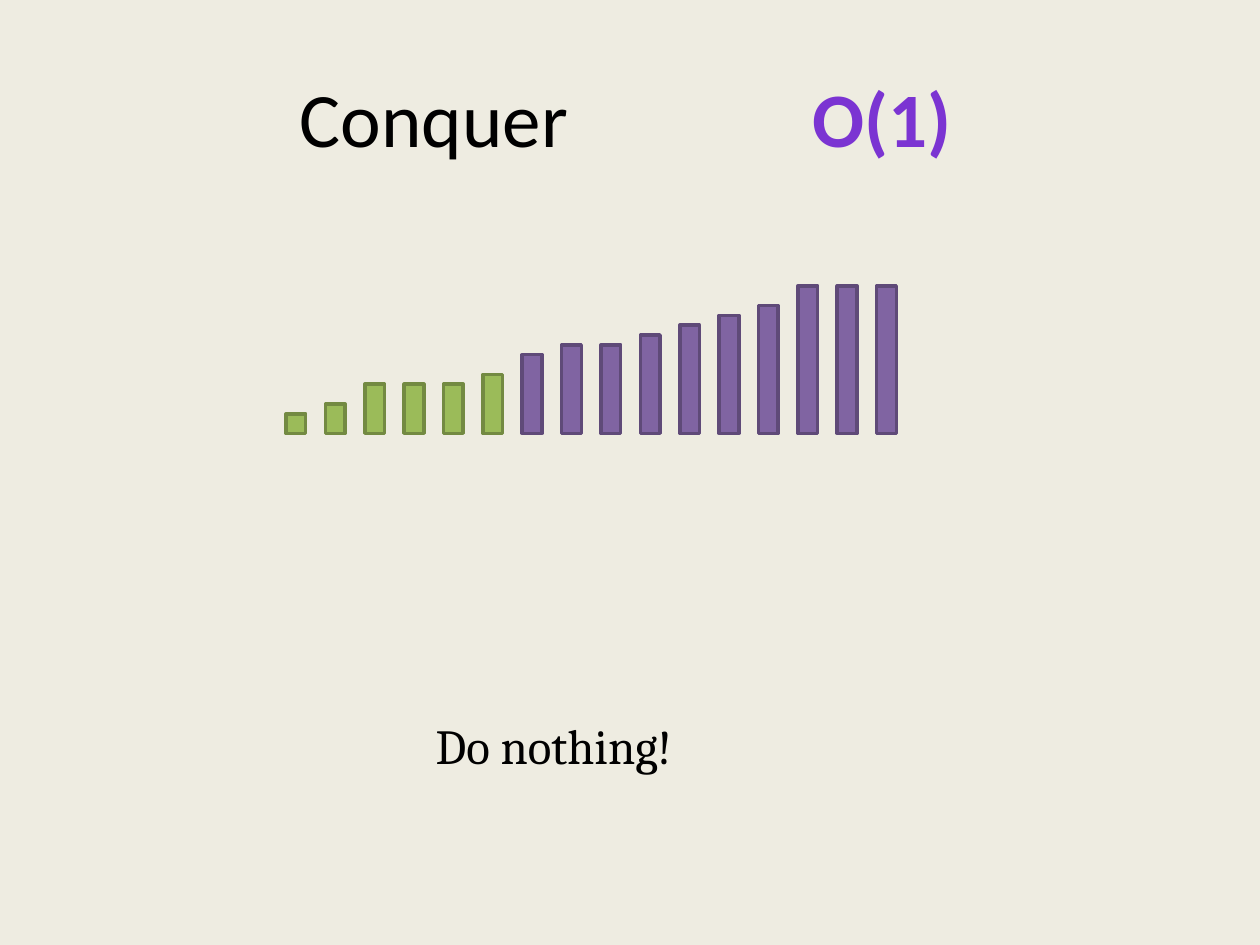
import pptx
import pptx.dml.color
import pptx.enum.shapes
import pptx.enum.text
import pptx.oxml.ns
import pptx.util
from lxml import etree

Inches = pptx.util.Inches
RGBColor = pptx.dml.color.RGBColor

BACKGROUND = RGBColor(0xEE, 0xEC, 0xE1)
BLACK = RGBColor(0x00, 0x00, 0x00)
VIOLET = RGBColor(0x7B, 0x34, 0xD2)
GREEN = RGBColor(0x9B, 0xBB, 0x59)
GREEN_EDGE = RGBColor(0x73, 0x8A, 0x42)
PURPLE = RGBColor(0x80, 0x64, 0xA2)
PURPLE_EDGE = RGBColor(0x5F, 0x4A, 0x78)

# Sorted values: the small half is green, the large half purple
SMALL_VALUES = [2, 3, 5, 5, 5, 6]
LARGE_VALUES = [8, 9, 9, 10, 11, 12, 13, 15, 15, 15]
UNIT = 5 / 64
BAR_WIDTH = 2 * UNIT
BAR_PITCH = 4 * UNIT
BARS_LEFT = 2.27
BARS_BOTTOM = 3.44

TITLE_FORMAT = {"name": "Calibri", "size": pptx.util.Pt(44), "bold": False}
COST_FORMAT = {**TITLE_FORMAT, "bold": True}
NOTE_FORMAT = {"name": "Cambria", "size": pptx.util.Pt(28)}


def add_span(para, text, color, formats):
    span = para.add_run()
    span.text = text
    for name, value in formats.items():
        setattr(span.font, name, value)
    span.font.color.rgb = color


def add_tab_stop(para, position):
    properties = para._p.get_or_add_pPr()
    stops = etree.SubElement(properties, pptx.oxml.ns.qn("a:tabLst"))
    etree.SubElement(stops, pptx.oxml.ns.qn("a:tab"), pos=str(position), algn="l")


def fill_title(title):
    title.left, title.top = Inches(0.5), Inches(0.3)
    title.width, title.height = Inches(9), Inches(1.25)
    frame = title.text_frame
    frame.vertical_anchor = pptx.enum.text.MSO_ANCHOR.MIDDLE
    frame.margin_left = Inches(1.88)
    para = frame.paragraphs[0]
    para.alignment = pptx.enum.text.PP_ALIGN.LEFT
    add_tab_stop(para, Inches(4.07))
    add_span(para, "Conquer\t", BLACK, TITLE_FORMAT)
    add_span(para, "O(1)", VIOLET, COST_FORMAT)


def add_bars(page, values, first, fill, edge):
    for index, value in enumerate(values, first):
        height = value * UNIT
        bar = page.shapes.add_shape(
            pptx.enum.shapes.MSO_SHAPE.RECTANGLE,
            Inches(BARS_LEFT + index * BAR_PITCH), Inches(BARS_BOTTOM - height),
            Inches(BAR_WIDTH), Inches(height))
        bar.shadow.inherit = False
        bar.fill.solid()
        bar.fill.fore_color.rgb = fill
        bar.line.color.rgb = edge
        bar.line.width = pptx.util.Pt(2)


def add_note(page, text):
    box = page.shapes.add_textbox(Inches(3.36), Inches(5.63), Inches(3.75), Inches(0.57))
    box.text_frame.word_wrap = True
    box.text_frame.auto_size = pptx.enum.text.MSO_AUTO_SIZE.SHAPE_TO_FIT_TEXT
    add_span(box.text_frame.paragraphs[0], text, BLACK, NOTE_FORMAT)


def main():
    deck = pptx.Presentation()
    deck.slide_width, deck.slide_height = Inches(10), Inches(7.5)
    page = deck.slides.add_slide(deck.slide_layouts.get_by_name("Title Only"))
    page.background.fill.solid()
    page.background.fill.fore_color.rgb = BACKGROUND

    # Heading with the cost of the step
    fill_title(page.shapes.title)

    # Sorted bars
    add_bars(page, SMALL_VALUES, 0, GREEN, GREEN_EDGE)
    add_bars(page, LARGE_VALUES, len(SMALL_VALUES), PURPLE, PURPLE_EDGE)

    add_note(page, "Do nothing!")
    deck.save("out.pptx")


if __name__ == "__main__":
    main()
